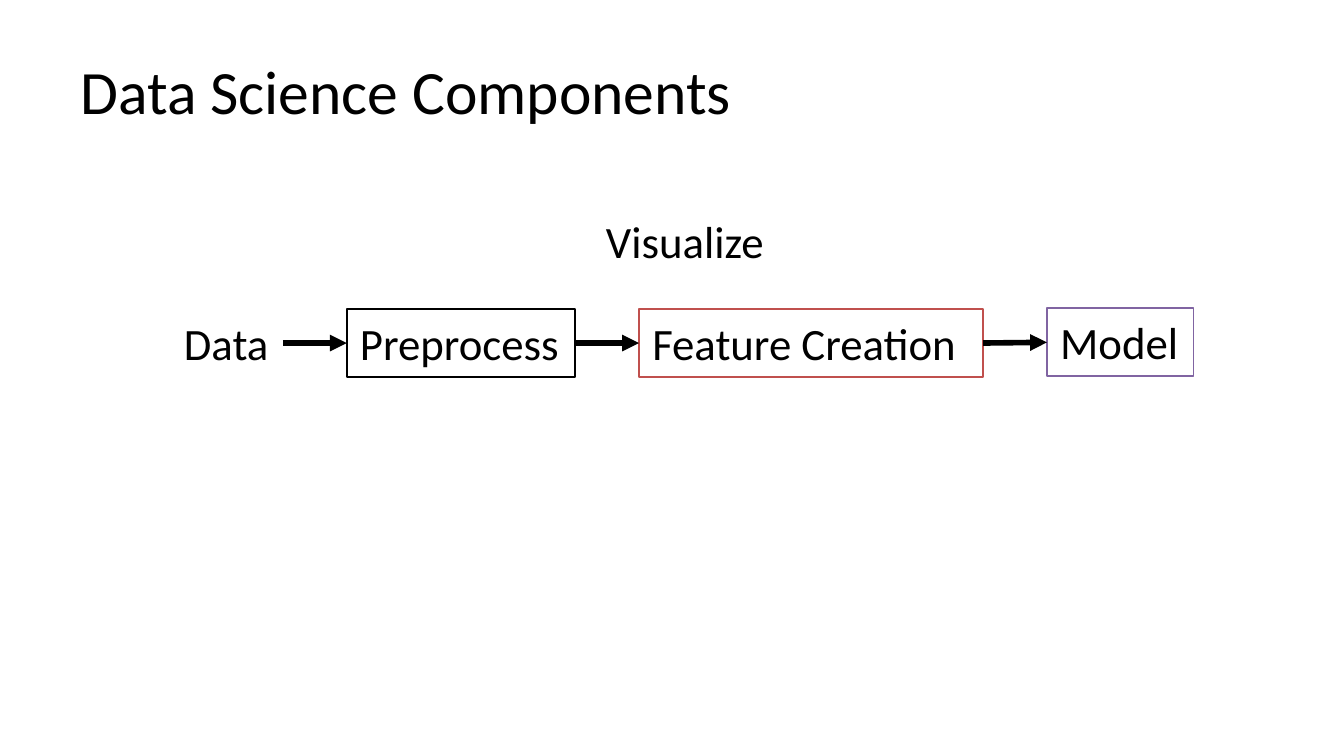
from itertools import pairwise

from lxml.etree import SubElement
from pptx import Presentation
from pptx.dml.color import RGBColor
from pptx.enum.shapes import MSO_CONNECTOR, MSO_SHAPE
from pptx.enum.text import MSO_ANCHOR, PP_ALIGN
from pptx.oxml.ns import qn
from pptx.util import Inches, Pt

COLORS = {"black": "000000", "white": "FFFFFF", "red": "C0504D", "purple": "8064A2"}
FONT = "Calibri"
CELL = Inches(0.1)  # the slide is a grid of square cells
COLUMNS, ROWS = 100, 56.25
LEFT, RIGHT = 1, 3  # connection sites of a rectangle

# text, border, column, row, columns wide
STEPS = [
    ("Data", None, 12.7, 23, 8.35),
    ("Preprocess", "black", 25.8, 23, 17),
    ("Feature Creation", "red", 47.55, 23, 25.6),
    ("Model", "purple", 77.9, 22.95, 10.9),
]
STEP_ROWS = 5.05


def grid(*cells):
    return [round(c * CELL) for c in cells]


def rgb(name):
    return RGBColor.from_string(COLORS[name])


def write(sp, text, size, anchor=MSO_ANCHOR.TOP):
    tf = sp.text_frame
    tf.word_wrap = True
    tf.vertical_anchor = anchor
    p = tf.paragraphs[0]
    p.alignment = PP_ALIGN.LEFT
    r = p.add_run()
    r.text = text
    r.font.name = FONT
    r.font.size = Pt(size)
    r.font.color.rgb = rgb("black")
    return p


def add_title(s, box, text):
    p = write(s.shapes.add_textbox(*grid(*box)), text, 33, MSO_ANCHOR.MIDDLE)
    p.line_spacing = 0.9


def add_label(s, box, text, border=None):
    """Add one step name, in a rectangle if it has a border colour."""
    if border:
        sp = s.shapes.add_shape(MSO_SHAPE.RECTANGLE, *grid(*box))
        sp.shadow.inherit = False
        sp.fill.solid()
        sp.fill.fore_color.rgb = rgb("white")
        sp.line.color.rgb = rgb(border)
        sp.line.width = Pt(1)
    else:
        sp = s.shapes.add_textbox(*grid(*box))
    write(sp, text, 24)
    sp.text_frame.margin_right = 0
    return sp


def add_arrow(s, start, end):
    c = s.shapes.add_connector(MSO_CONNECTOR.STRAIGHT, 0, 0, 0, 0)
    c.begin_connect(start, RIGHT)
    c.end_connect(end, LEFT)
    c.line.color.rgb = rgb("black")
    c.line.width = Pt(3)
    SubElement(c.line._get_or_add_ln(), qn("a:tailEnd"), type="triangle")
    SubElement(c._element.spPr, qn("a:effectLst"))


def add_pipeline(s, steps):
    labels = [
        add_label(s, (col, row, width, STEP_ROWS), text, border)
        for text, border, col, row, width in steps
    ]
    for start, end in pairwise(labels):
        add_arrow(s, start, end)


def main():
    prs = Presentation()
    prs.slide_width, prs.slide_height = grid(COLUMNS, ROWS)
    s = prs.slides.add_slide(prs.slide_layouts[6])
    add_title(s, (5, 2.3, 90, 9.4), "Data Science Components")
    add_label(s, (44.1, 15.4, 13.9, STEP_ROWS), "Visualize")
    add_pipeline(s, STEPS)
    prs.save("out.pptx")


if __name__ == "__main__":
    main()
